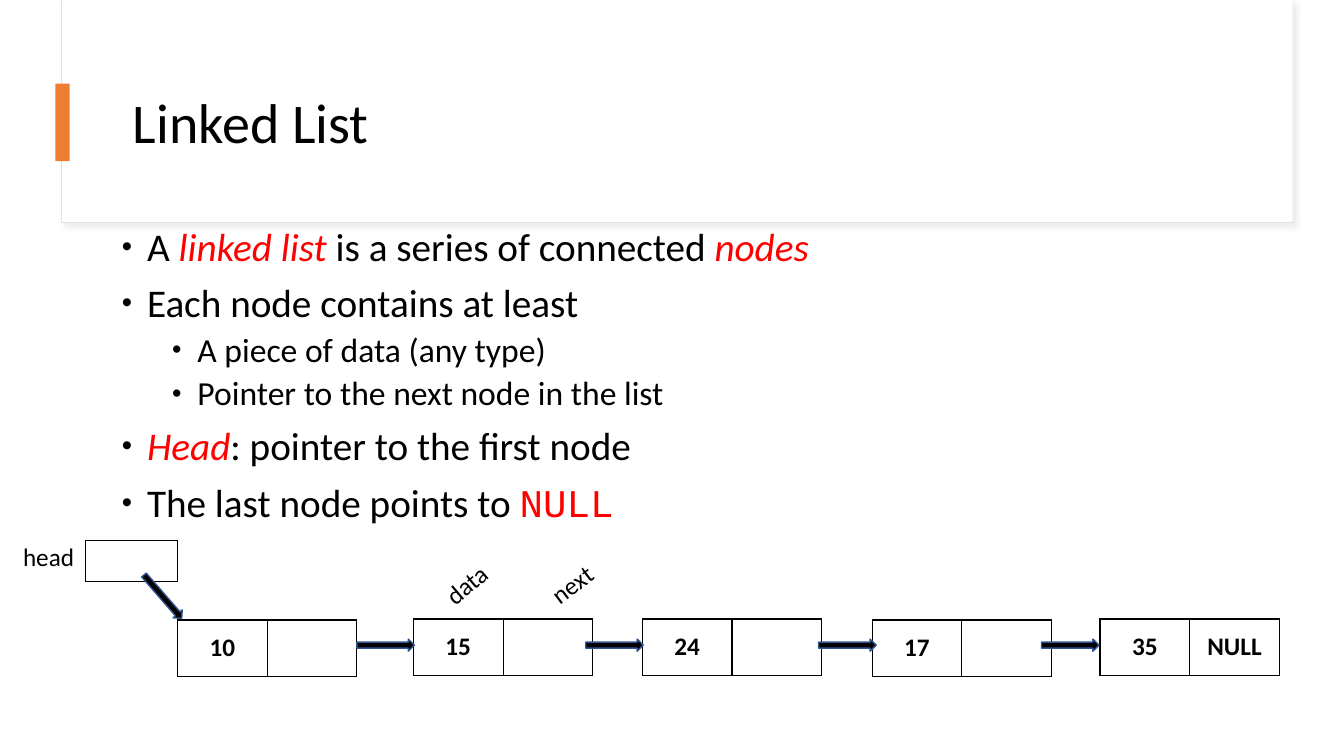
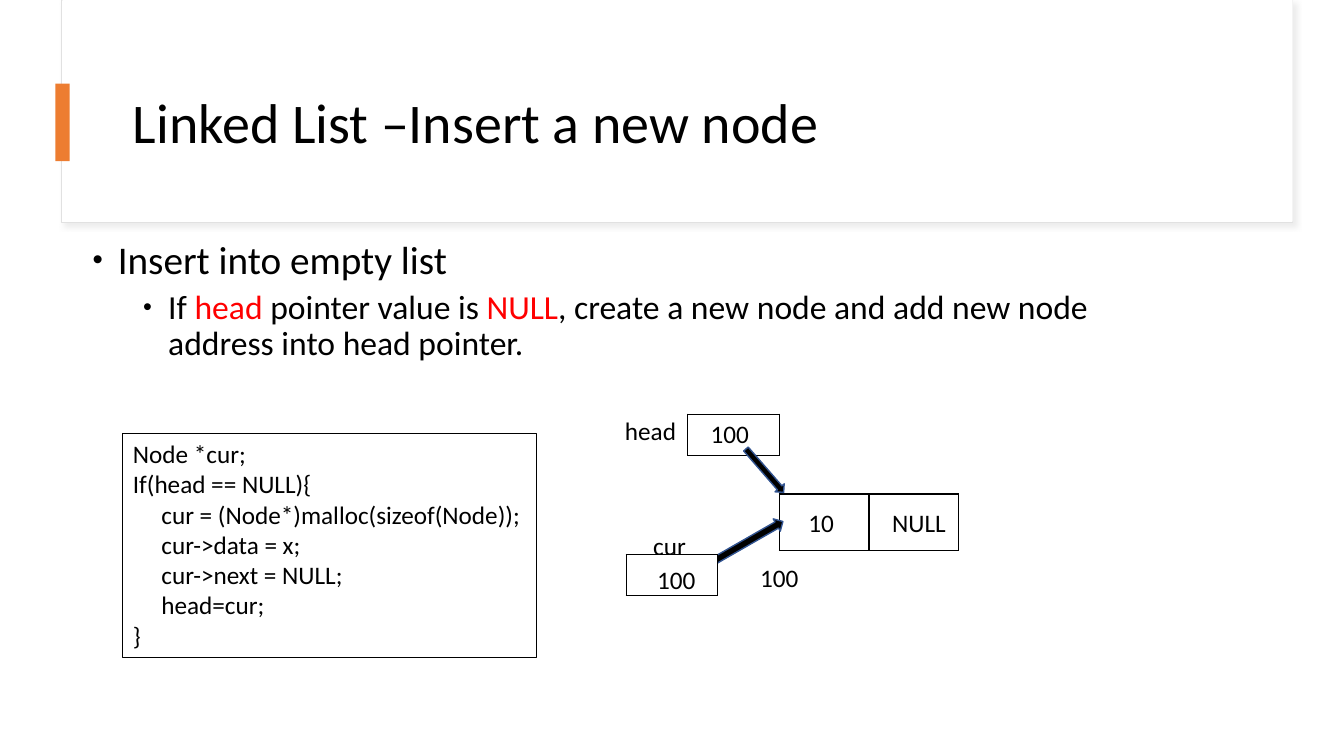
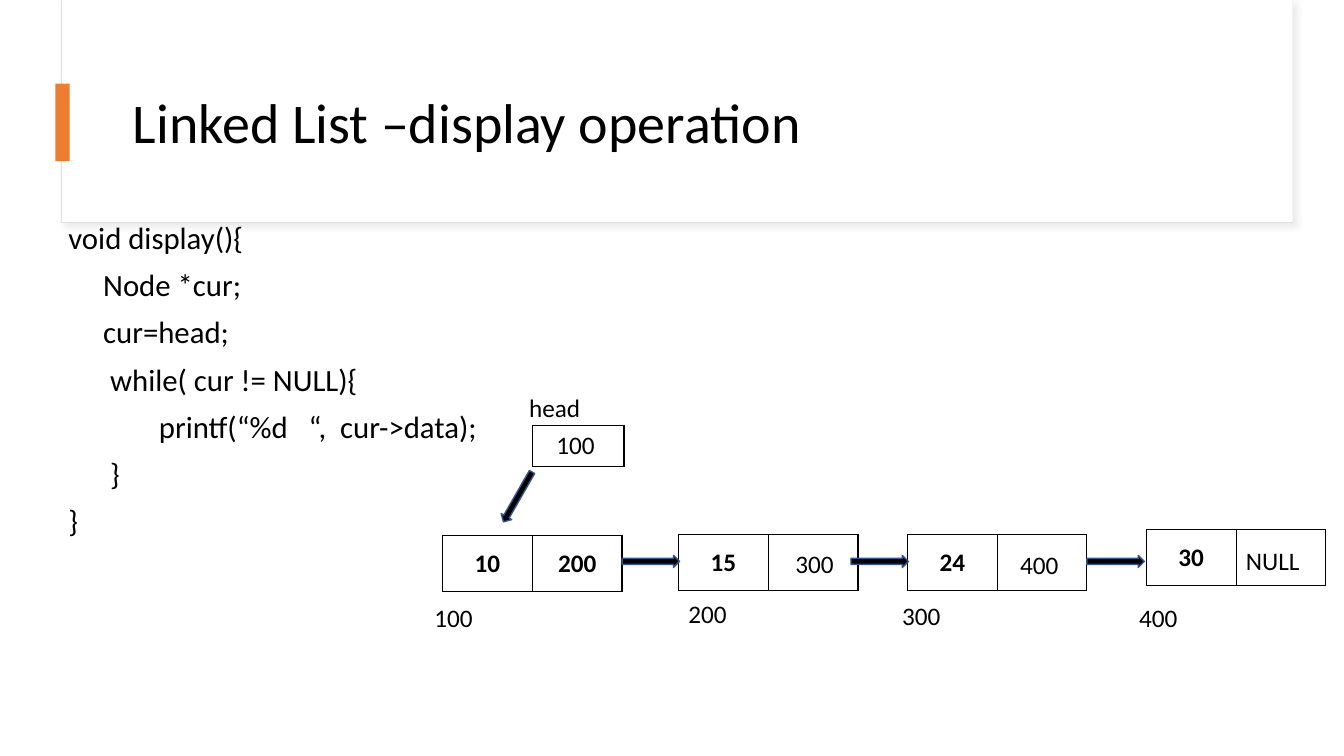
"""Build three slides that explain linked lists with node diagrams."""
from dataclasses import dataclass, field
from typing import Any, Optional, Union

from lxml import etree
from pptx import Presentation
from pptx import util as u
from pptx.dml.color import RGBColor
from pptx.enum import shapes, text
from pptx.oxml import ns

BLACK = RGBColor(0x00, 0x00, 0x00)
WHITE = RGBColor(0xFF, 0xFF, 0xFF)
RED = RGBColor(0xFF, 0x00, 0x00)
ORANGE = RGBColor(0xED, 0x7D, 0x31)
FRAME_GRAY = RGBColor(0xE1, 0xE1, 0xE1)
SHADOW_GRAY = RGBColor(0xD9, 0xD9, 0xD9)
ARROW_BLUE = RGBColor(0x32, 0x54, 0x91)

BODY_FONT = "Calibri"
CODE_FONT = "Courier New"
LABEL_SIZE = 18
CELL_WIDTH, CELL_HEIGHT = 0.89, 0.56
POINTER_WIDTH, POINTER_HEIGHT = 0.91, 0.41
LABEL_HEIGHT = 0.4
LABEL_WIDTHS = {"head": 0.72, "data": 0.66, "next": 0.65, "cur": 0.53,
                "10": 0.46, "NULL": 0.74}
ADDRESS_WIDTH = 0.59
SPACE_EM = 0.226

PLAIN: dict[str, Any] = {"name": BODY_FONT, "bold": False, "italic": False}
BODY_SPACING = {0: {"line_spacing": 0.9, "space_before": u.Pt(10)},
                1: {"line_spacing": 0.9, "space_before": u.Pt(5)}}
BULLET_SIZES = {0: 28, 1: 24}


@dataclass(frozen=True)
class Span:
    """A stretch of text with one look."""
    words: str
    color: RGBColor = BLACK
    style: dict[str, Any] = field(default_factory=dict)


@dataclass(frozen=True)
class Bullet:
    """A bulleted paragraph."""
    spans: list[Span]
    level: int = 0
    bullet_percent: int = 75


@dataclass(frozen=True)
class CodeLine:
    """A line of code, indented by a number of space widths."""
    words: str
    indent: int = 0


@dataclass(frozen=True)
class Node:
    """A two-cell list node."""
    left: float
    top: float
    data: str = ""
    link: str = ""


@dataclass(frozen=True)
class Pointer:
    """An empty one-cell pointer box."""
    left: float
    top: float


@dataclass(frozen=True)
class Label:
    """A short text beside or on a box."""
    left: float
    top: float
    words: str
    rotation: float = 0


@dataclass(frozen=True)
class Arrow:
    """A block arrow, turned clockwise."""
    left: float
    top: float
    rotation: float = 0
    length: float = 0.57
    thickness: float = 0.12


Item = Union[Node, Pointer, Label, Arrow]


def set_values(target: Any, values: dict[str, Any]) -> None:
    """Set each named attribute of the target."""
    for name, value in values.items():
        setattr(target, name, value)


def add_element(parent: Any, tag: str, **attributes: str) -> Any:
    """Append a DrawingML element."""
    return etree.SubElement(parent, ns.qn(tag), attributes)


def inches(*lengths: float) -> list[u.Length]:
    """Convert lengths to slide units."""
    return [u.Inches(length) for length in lengths]


def add_span(paragraph: Any, span: Span, size: float) -> None:
    """Add one formatted run."""
    run = paragraph.add_run()
    run.text = span.words
    set_values(run.font, {**PLAIN, "size": u.Pt(size), **span.style})
    run.font.color.rgb = span.color


def next_paragraph(frame: Any, index: int) -> Any:
    """Return the first paragraph, or a new one after it."""
    return frame.paragraphs[0] if index == 0 else frame.add_paragraph()


def add_text_frame(slide: Any, box: tuple[float, ...], wrap: bool = True) -> Any:
    """Add a text box and return its frame."""
    frame = slide.shapes.add_textbox(*inches(*box)).text_frame
    frame.word_wrap = wrap
    return frame


def add_box(slide: Any, box: tuple[float, ...], fill: Optional[RGBColor],
            line: Optional[RGBColor] = None, line_width: float = 0.75,
            kind: Any = shapes.MSO_SHAPE.RECTANGLE) -> Any:
    """Add a preset shape with a flat fill and line."""
    shape = slide.shapes.add_shape(kind, *inches(*box))
    shape.shadow.inherit = False
    if fill is None:
        shape.fill.background()
    else:
        shape.fill.solid()
        shape.fill.fore_color.rgb = fill
    if line is None:
        shape.line.fill.background()
    else:
        shape.line.color.rgb = line
        shape.line.width = u.Pt(line_width)
    return shape


def add_title(slide: Any, title: str) -> None:
    """Draw the title frame, its accent bar and the title."""
    frame_shape = add_box(slide, (0.61, 0, 12.21, 2.21), WHITE, FRAME_GRAY)
    effects = frame_shape._element.spPr.find(ns.qn("a:effectLst"))
    shadow = add_element(effects, "a:outerShdw", blurRad=str(u.Pt(4)), dist=str(u.Pt(3)),
                         dir=str(45 * 60000), algn="tl", rotWithShape="0")
    color = add_element(shadow, "a:srgbClr", val=str(SHADOW_GRAY))
    add_element(color, "a:alpha", val="50000")
    add_box(slide, (0.62, 0, 12.2, 2.2), WHITE)
    frame = add_text_frame(slide, (1.22, 0.6, 11.12, 1.29))
    frame.vertical_anchor = text.MSO_ANCHOR.MIDDLE
    frame.paragraphs[0].line_spacing = 0.9
    add_span(frame.paragraphs[0], Span(title), 40)
    add_box(slide, (0.55, 0.83, 0.14, 0.77), ORANGE)


def add_bullets(slide: Any, box: tuple[float, ...], bullets: list[Bullet]) -> None:
    """Add the bulleted body text."""
    frame = add_text_frame(slide, box)
    for index, bullet in enumerate(bullets):
        paragraph = next_paragraph(frame, index)
        set_values(paragraph, {"level": bullet.level, **BODY_SPACING[bullet.level]})
        properties = paragraph._p.get_or_add_pPr()
        properties.set("marL", str(u.Inches(0.25 + 0.5 * bullet.level)))
        properties.set("indent", str(u.Inches(-0.25)))
        color = add_element(properties, "a:buClr")
        add_element(color, "a:srgbClr", val=str(BLACK))
        add_element(properties, "a:buSzPct", val=str(bullet.bullet_percent * 1000))
        add_element(properties, "a:buFont", typeface="Arial")
        add_element(properties, "a:buChar", char="•")
        for span in bullet.spans:
            add_span(paragraph, span, BULLET_SIZES[bullet.level])


def add_code(frame: Any, lines: list[CodeLine], size: float,
             spacing: dict[str, Any]) -> None:
    """Fill a frame with indented code lines."""
    for index, line in enumerate(lines):
        paragraph = next_paragraph(frame, index)
        set_values(paragraph, {"alignment": text.PP_ALIGN.LEFT, **spacing})
        margin = u.Pt(line.indent * SPACE_EM * size)
        paragraph._p.get_or_add_pPr().set("marL", str(margin))
        add_span(paragraph, Span(line.words), size)


def add_cells(slide: Any, left: float, top: float, width: float, height: float,
              values: list[str]) -> None:
    """Draw a one-row table with black borders."""
    box = inches(left, top, width * len(values), height)
    table = slide.shapes.add_table(1, len(values), *box).table
    set_values(table, {"first_row": False, "horz_banding": False})
    for column, value in enumerate(values):
        table.columns[column].width = u.Inches(width)
        cell = table.cell(0, column)
        properties = cell._tc.get_or_add_tcPr()
        for side in ("a:lnL", "a:lnR", "a:lnT", "a:lnB"):
            border = add_element(properties, side, w=str(u.Pt(1)))
            fill = add_element(border, "a:solidFill")
            add_element(fill, "a:srgbClr", val=str(BLACK))
        cell.fill.solid()
        cell.fill.fore_color.rgb = WHITE
        cell.vertical_anchor = text.MSO_ANCHOR.MIDDLE
        if value:
            paragraph = cell.text_frame.paragraphs[0]
            paragraph.alignment = text.PP_ALIGN.CENTER
            add_span(paragraph, Span(value, style={"bold": True}), LABEL_SIZE)


def add_label(slide: Any, label: Label) -> None:
    """Draw a short text, turned if asked."""
    width = LABEL_WIDTHS.get(label.words, ADDRESS_WIDTH)
    shape = slide.shapes.add_textbox(*inches(label.left, label.top, width, LABEL_HEIGHT))
    shape.rotation = label.rotation
    shape.text_frame.word_wrap = False
    add_span(shape.text_frame.paragraphs[0], Span(label.words), LABEL_SIZE)


def add_diagram(slide: Any, items: list[Item]) -> None:
    """Draw the parts of a diagram from back to front."""
    for item in items:
        if isinstance(item, Node):
            add_cells(slide, item.left, item.top, CELL_WIDTH, CELL_HEIGHT,
                      [item.data, item.link])
        elif isinstance(item, Pointer):
            add_cells(slide, item.left, item.top, POINTER_WIDTH, POINTER_HEIGHT, [""])
        elif isinstance(item, Label):
            add_label(slide, item)
        else:
            box = (item.left, item.top, item.length, item.thickness)
            arrow = add_box(slide, box, BLACK, ARROW_BLUE, 1, shapes.MSO_SHAPE.RIGHT_ARROW)
            arrow.rotation = item.rotation


def add_slide(presentation: Any, title: str) -> Any:
    """Add a blank slide with the shared title band."""
    slide = presentation.slides.add_slide(presentation.slide_layouts[6])
    add_title(slide, title)
    return slide


def build_overview(presentation: Any) -> None:
    """Show what a linked list is."""
    slide = add_slide(presentation, "Linked List")
    italic = {"italic": True}
    add_bullets(slide, (1.11, 2.21, 11.12, 3.13), [
        Bullet([Span("A "), Span("linked list ", RED, italic),
                Span("is a series of connected "), Span("nodes", RED, italic)]),
        Bullet([Span("Each node contains at least")]),
        Bullet([Span("A piece of data (any type)")], 1, 80),
        Bullet([Span("Pointer to the next node in the list")], 1, 80),
        Bullet([Span("Head", RED, italic), Span(": pointer to the first node")]),
        Bullet([Span("The last node points to "), Span("NULL", RED, {"name": CODE_FONT})]),
    ])
    add_diagram(slide, [
        Node(1.76, 6.15, "10"), Node(4.1, 6.14, "15"), Node(6.37, 6.14, "24"),
        Node(8.65, 6.15, "17"), Node(10.91, 6.14, "35", "NULL"),
        Pointer(0.85, 5.36), Label(0.13, 5.32, "head"),
        Label(4.3, 5.59, "data", 320.1), Label(5.35, 5.59, "next", 323.1),
        *(Arrow(left, 6.34) for left in (3.54, 5.81, 8.12, 10.33)),
        Arrow(1.33, 5.86, 49),
    ])


def build_insertion(presentation: Any) -> None:
    """Show insertion into an empty list."""
    slide = add_slide(presentation, "Linked List –Insert a new node")
    add_bullets(slide, (0.82, 2.34, 11.12, 1.41), [
        Bullet([Span("Insert into empty list")]),
        Bullet([Span("If"), Span(" head ", RED), Span("pointer value is "),
                Span("NULL", RED),
                Span(", create a new node and add new node address into head pointer.")], 1),
    ])
    code_box = add_box(slide, (1.22, 4.3, 4.1, 2.22), None, BLACK)
    code_box.text_frame.word_wrap = True
    code_box.text_frame.vertical_anchor = text.MSO_ANCHOR.TOP
    add_code(code_box.text_frame, [
        CodeLine("Node *cur;"),
        CodeLine("If(head == NULL){"),
        CodeLine("cur = (Node*)malloc(sizeof(Node));", 5),
        CodeLine("cur->data = x;", 5),
        CodeLine("cur->next = NULL;", 5),
        CodeLine("head=cur;", 5),
        CodeLine("}"),
    ], LABEL_SIZE, {})
    add_diagram(slide, [
        Node(7.73, 4.9), Pointer(6.82, 4.11), Label(6.1, 4.07, "head"),
        Arrow(7.3, 4.61, 49), Label(7.92, 4.98, "10"), Label(8.75, 4.98, "NULL"),
        Label(7.44, 5.53, "100"), Label(6.95, 4.1, "100"), Label(6.38, 5.21, "cur"),
        Arrow(6.99, 5.31, 330.2, 0.83, 0.14), Pointer(6.21, 5.5),
        Label(6.42, 5.55, "100"),
    ])


def build_display(presentation: Any) -> None:
    """Show how the list is printed."""
    slide = add_slide(presentation, "Linked List –display operation")
    add_code(add_text_frame(slide, (0.58, 2.16, 4.85, 4.04)), [
        CodeLine("void display(){"),
        CodeLine("Node *cur;", 5),
        CodeLine("cur=head;", 5),
        CodeLine("while( cur != NULL){", 6),
        CodeLine("printf(“%d   “,  cur->data);", 13),
        CodeLine("}", 6),
        CodeLine("}"),
    ], 22, BODY_SPACING[0])
    add_diagram(slide, [
        Node(4.39, 5.31, "10", "200"), Node(6.73, 5.3, "15"), Node(9, 5.3, "24"),
        Node(11.37, 5.25, "30"), Pointer(5.28, 4.22), Label(5.15, 3.84, "head"),
        *(Arrow(left, 5.51) for left in (6.17, 8.44, 10.78)),
        Arrow(4.85, 4.87, 119.8), Label(5.42, 4.21, "100"),
        Label(4.21, 5.93, "100"), Label(6.73, 5.89, "200"),
        Label(8.85, 5.91, "300"), Label(11.2, 5.93, "400"),
        Label(7.79, 5.39, "300"), Label(10.02, 5.4, "400"),
        Label(12.26, 5.36, "NULL"),
    ])


def main() -> None:
    """Build and save the presentation."""
    presentation = Presentation()
    set_values(presentation, {"slide_width": u.Inches(13.33), "slide_height": u.Inches(7.5)})
    for build in (build_overview, build_insertion, build_display):
        build(presentation)
    presentation.save("out.pptx")


main()
